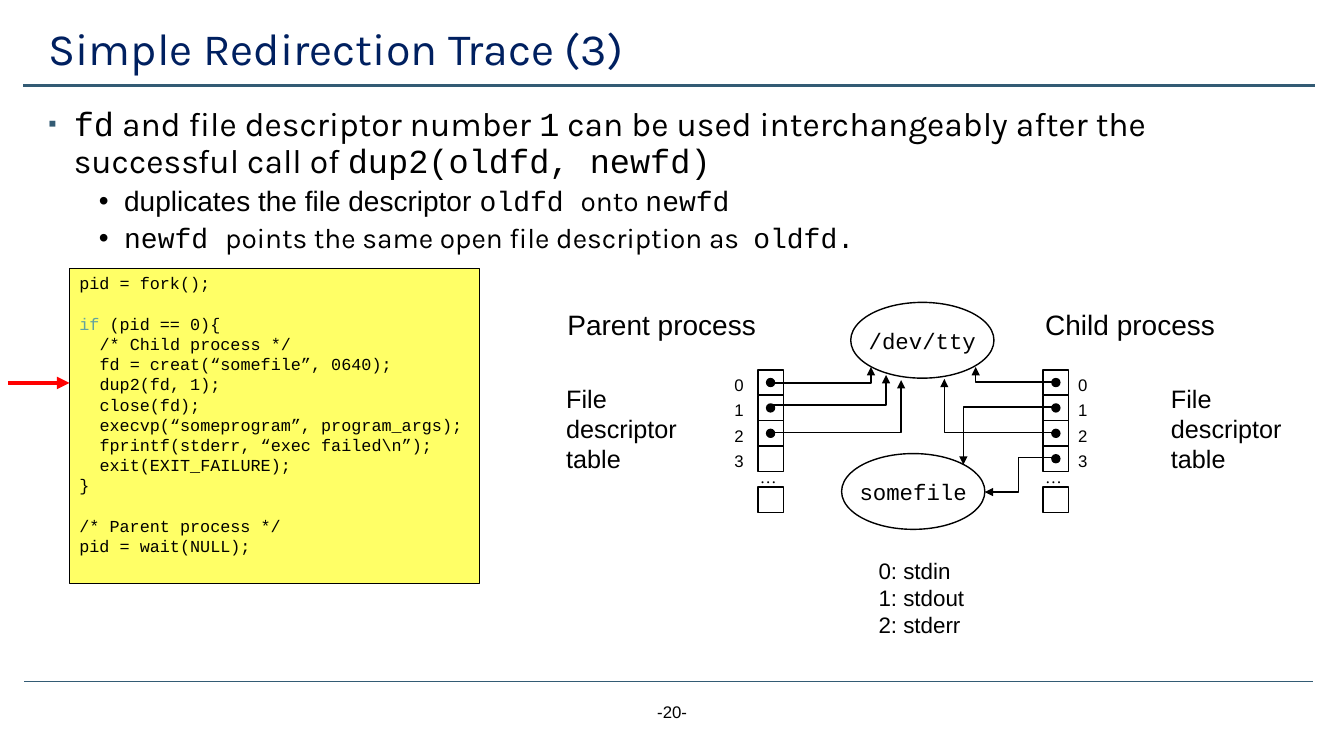
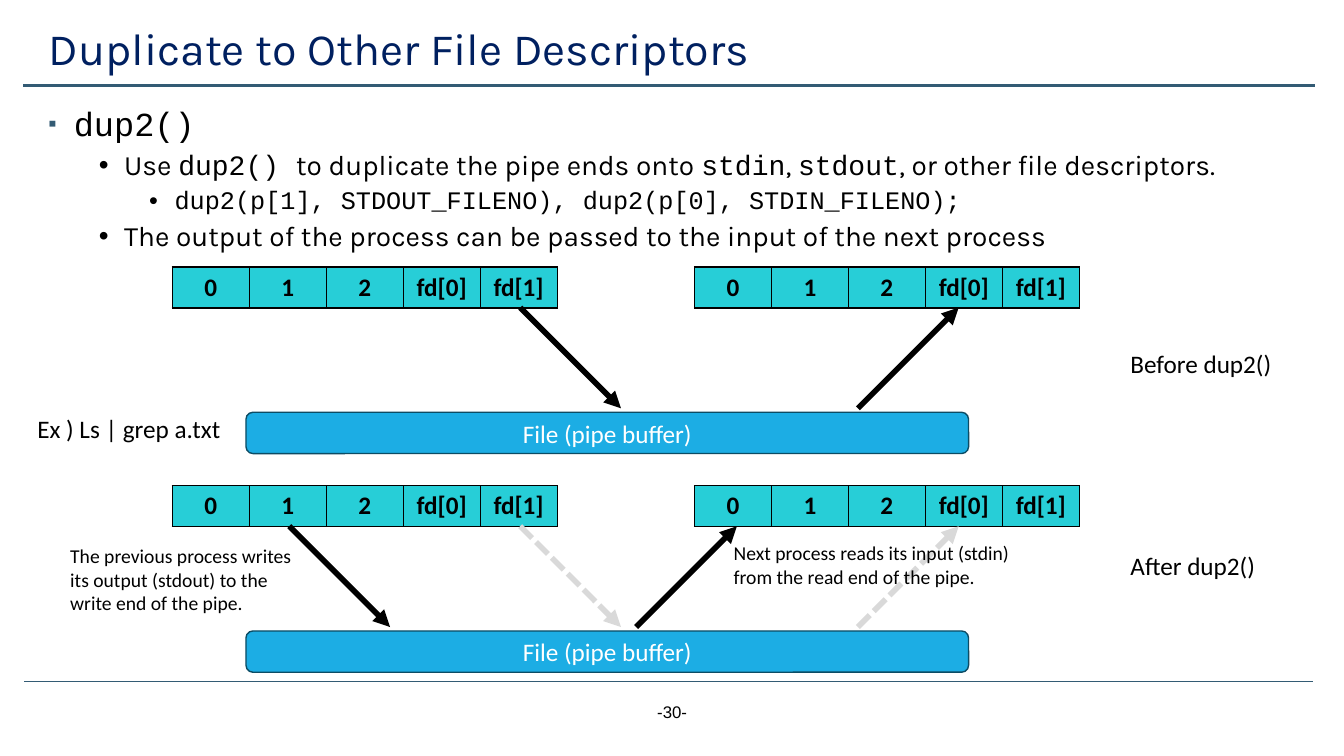
"""Build two slides on redirecting file descriptors with dup2()."""
from dataclasses import dataclass
from typing import Any, NamedTuple, Optional, Sequence

from lxml import etree
from pptx import Presentation
from pptx import util as u
from pptx.dml.color import RGBColor
from pptx.enum import dml, shapes, text
from pptx.oxml import ns

BLACK = RGBColor(0, 0, 0)
WHITE = RGBColor(255, 255, 255)
NAVY = RGBColor(0x00, 0x20, 0x60)
SLATE = RGBColor(0x33, 0x5B, 0x74)
KEYWORD = RGBColor(0x62, 0xA3, 0x9F)
YELLOW = RGBColor(0xFF, 0xFF, 0x66)
RED = RGBColor(0xFF, 0, 0)
TURQUOISE = RGBColor(0x27, 0xCE, 0xD7)
BLUE = RGBColor(0x1C, 0xAD, 0xE4)
DARK_BLUE = RGBColor(0x0C, 0x4C, 0x64)
GREY = RGBColor(0xD9, 0xD9, 0xD9)
KARLA, CODE, ARIAL, CALIBRI = "Karla", "Courier New", "Arial", "Calibri"
LEFT, CENTER = text.PP_ALIGN.LEFT, text.PP_ALIGN.CENTER
SHAPE = shapes.MSO_SHAPE
CELL, DOT = 0.64, 0.2
COLUMN, ROW = 1.94, 1.02


class Box(NamedTuple):
    """Position and size in centimetres."""
    left: float
    top: float
    width: float
    height: float


class Point(NamedTuple):
    """A position in centimetres."""
    x: float
    y: float


class Run(NamedTuple):
    """Text with an optional font and colour of its own."""
    text: str
    font: Optional[str] = None
    colour: Optional[RGBColor] = None


class Style(NamedTuple):
    """Character format and alignment of a text."""
    size: float
    font: str = ARIAL
    colour: RGBColor = BLACK
    bold: bool = False
    align: Any = LEFT


@dataclass
class Line:
    """One paragraph: runs, left indent in centimetres, space before in points."""
    runs: Sequence[Run]
    indent: float = 0
    before: float = 0
    size: Optional[float] = None
    bullet: str = ""


@dataclass
class Process:
    """A process with its descriptor table."""
    name: str
    name_box: Box
    cell_left: float
    number_left: float
    caption_left: float
    open_count: int


@dataclass
class PipeEnds:
    """Where a writer arrow leaves and a reader arrow starts."""
    write_x: float
    read_x: float
    colour: RGBColor = BLACK
    dash: Any = None


@dataclass
class Stage:
    """Descriptor tables joined by a pipe buffer."""
    top: float
    ends: Sequence[PipeEnds]


def apply(target: Any, values: dict[str, Any]) -> None:
    """Set each named attribute on the target."""
    for name, value in values.items():
        setattr(target, name, value)


def add_xml(parent: Any, tag: str, **attributes: str) -> Any:
    """Append a child element."""
    return etree.SubElement(parent, ns.qn(tag), attributes)


def lengths(box: Box) -> list[u.Cm]:
    """Convert a box to lengths."""
    return [u.Cm(value) for value in box]


def write(frame: Any, lines: Sequence[Any], style: Style) -> None:
    """Fill a text frame with strings or lines."""
    for index, entry in enumerate(lines):
        line = entry if isinstance(entry, Line) else Line([Run(entry)])
        paragraph = frame.paragraphs[0] if index == 0 else frame.add_paragraph()
        apply(paragraph, {"alignment": style.align, "space_before": u.Pt(line.before)})
        properties = paragraph._p.get_or_add_pPr()
        properties.set("marL", str(u.Cm(line.indent)))
        if line.bullet:
            paragraph.line_spacing = 0.9
            properties.set("indent", str(u.Cm(-0.64)))
            if line.bullet == "▪":
                add_xml(add_xml(properties, "a:buClr"), "a:srgbClr", val=str(SLATE))
                add_xml(properties, "a:buSzPct", val="70000")
            add_xml(properties, "a:buFont", typeface=ARIAL)
            add_xml(properties, "a:buChar", char=line.bullet)
        for piece in line.runs:
            run = paragraph.add_run()
            run.text = piece.text
            apply(run.font, {"name": piece.font or style.font, "bold": style.bold,
                             "size": u.Pt(line.size or style.size)})
            run.font.color.rgb = piece.colour or style.colour


def add_text(slide: Any, box: Box, lines: Sequence[Any], style: Style,
             wrap: bool = False) -> None:
    """Add a text box."""
    frame = slide.shapes.add_textbox(*lengths(box)).text_frame
    fit = text.MSO_AUTO_SIZE
    apply(frame, {"word_wrap": wrap,
                  "auto_size": fit.NONE if wrap else fit.SHAPE_TO_FIT_TEXT})
    write(frame, lines, style)


def add_shape(slide: Any, kind: Any, box: Box, fill: Optional[RGBColor] = None,
              line: RGBColor = BLACK, width: float = 1) -> Any:
    """Add a preset shape without shadow."""
    shape = slide.shapes.add_shape(kind, *lengths(box))
    shape.shadow.inherit = False
    if fill is None:
        shape.fill.background()
    else:
        shape.fill.solid()
        shape.fill.fore_color.rgb = fill
    shape.line.color.rgb = line
    shape.line.width = u.Pt(width)
    return shape


def add_line(slide: Any, start: Point, end: Point, colour: RGBColor = BLACK,
             width: float = 1, arrow: bool = True, dash: Any = None,
             bend: Optional[int] = None) -> None:
    """Add a line, bent at a percentage of its width if one is given."""
    kinds = shapes.MSO_CONNECTOR
    kind = kinds.STRAIGHT if bend is None else kinds.ELBOW
    connector = slide.shapes.add_connector(
        kind, *(u.Cm(value) for value in (*start, *end)))
    connector.line.color.rgb = colour
    apply(connector.line, {"width": u.Pt(width), "dash_style": dash})
    properties = connector.element.find(ns.qn("p:spPr"))
    if arrow:
        add_xml(properties.find(ns.qn("a:ln")), "a:tailEnd", type="triangle")
    if bend is not None:
        guides = properties.find(f"{ns.qn('a:prstGeom')}/{ns.qn('a:avLst')}")
        add_xml(guides, "a:gd", name="adj1", fmla=f"val {bend * 1000}")
    add_xml(properties, "a:effectLst")


def add_slide(presentation: Any, title: str, number: int, bullets: Sequence[Line]) -> Any:
    """Add a slide with title, rules, page number and bullets."""
    slide = presentation.slides.add_slide(presentation.slide_layouts[5])
    add_line(slide, Point(0.61, 17.17), Point(33.1, 17.17), SLATE, 0.5, arrow=False)
    add_line(slide, Point(0.58, 2.16), Point(33.15, 2.16), SLATE, 1.75, arrow=False)
    heading = slide.shapes.title
    apply(heading, dict(zip(Box._fields, lengths(Box(0.97, 0.48, 31.57, 1.6)))))
    apply(heading.text_frame, {"auto_size": text.MSO_AUTO_SIZE.NONE,
                               "vertical_anchor": text.MSO_ANCHOR.MIDDLE})
    write(heading.text_frame, [title], Style(32, KARLA, NAVY))
    heading.text_frame.paragraphs[0].line_spacing = 0.9
    add_text(slide, Box(13.13, 17.55, 7.62, 1.02), [f"-{number}-"],
             Style(12, align=CENTER), wrap=True)
    add_text(slide, Box(0.97, 2.59, 31.57, 14.27), bullets, Style(20, KARLA), wrap=True)
    return slide


def bullet(level: int, *runs: Run) -> Line:
    """Make a bullet of the given level."""
    return Line(runs, indent=0.64 + 1.27 * level, before=5 if level else 10,
                size=(24, 20, 18)[level], bullet="•" if level else "▪")


def code(content: str, indent: float = 0.51, before: float = 0) -> Line:
    """Make a line of program code."""
    return Line([Run(content)], indent, before)


def draw_process(slide: Any, process: Process) -> None:
    """Draw a descriptor table with its labels."""
    top, left = 9.32, process.cell_left
    add_text(slide, process.name_box, [process.name], Style(20))
    add_text(slide, Box(process.caption_left, 9.53, 3.3, 2.54),
             ["File", "descriptor", "table"], Style(18))
    inset = (CELL - DOT) / 2
    for number in range(4):
        cell_top = top + number * CELL
        add_shape(slide, SHAPE.RECTANGLE, Box(left, cell_top, CELL, CELL))
        if number < process.open_count:
            add_shape(slide, SHAPE.OVAL,
                      Box(left + inset, cell_top + inset, DOT, DOT), BLACK)
        add_text(slide, Box(process.number_left, cell_top, 0.86, 0.76),
                 [str(number)], Style(12), wrap=True)
    add_text(slide, Box(left - 0.2, 11.63, 0.94, 0.76), ["…"],
             Style(12, "Times New Roman"))
    add_shape(slide, SHAPE.RECTANGLE, Box(left, 12.27, CELL, CELL))


def draw_table(slide: Any, left: float, top: float) -> None:
    """Draw one row of descriptors."""
    names = ("0", "1", "2", "fd[0]", "fd[1]")
    table = slide.shapes.add_table(
        1, len(names), *lengths(Box(left, top, COLUMN * len(names), ROW))).table
    apply(table, {"first_row": False, "horz_banding": False})
    for index, name in enumerate(names):
        table.columns[index].width = u.Cm(COLUMN)
        cell = table.cell(0, index)
        properties = cell._tc.get_or_add_tcPr()
        for side in ("L", "R", "T", "B"):
            border = add_xml(properties, f"a:ln{side}", w=str(u.Pt(1)))
            add_xml(add_xml(border, "a:solidFill"), "a:srgbClr", val=str(BLACK))
        cell.fill.solid()
        cell.fill.fore_color.rgb = TURQUOISE
        write(cell.text_frame, [name], Style(18, CALIBRI, bold=True, align=CENTER))


def draw_stage(slide: Any, stage: Stage) -> None:
    """Draw two tables, the pipe buffer and the arrows between them."""
    for left in (4.34, 17.5):
        draw_table(slide, left, stage.top)
    buffer = add_shape(slide, SHAPE.ROUNDED_RECTANGLE,
                       Box(6.2, stage.top + 3.66, 18.21, 1.04), BLUE, DARK_BLUE)
    write(buffer.text_frame, ["File (pipe buffer)"],
          Style(18, CALIBRI, WHITE, align=CENTER))
    upper, lower = stage.top + ROW, stage.top + ROW + 2.54
    for ends in stage.ends:
        for x, start, end in ((ends.write_x, upper, lower), (ends.read_x, lower, upper)):
            add_line(slide, Point(x, start), Point(x + 2.54, end),
                     ends.colour, 4, dash=ends.dash)


def build_trace(presentation: Any) -> None:
    """Build the redirection trace."""
    slide = add_slide(presentation, "Simple Redirection Trace (3)", 20, [
        bullet(0, Run("fd", CODE), Run(" and file descriptor number "), Run("1", CODE),
               Run(" can be used interchangeably after the successful call of "),
               Run("dup2(oldfd, newfd)", CODE)),
        bullet(1, Run("duplicates the file descriptor ", ARIAL), Run("oldfd ", CODE),
               Run("onto "), Run("newfd", CODE)),
        bullet(1, Run("newfd ", CODE), Run("points the same open file description as  "),
               Run("oldfd.", CODE))])
    for process in (
            Process("Parent process", Box(14.05, 7.62, 5.31, 1.12), 19.1, 18.26, 14.02, 3),
            Process("Child process", Box(26.09, 7.62, 4.83, 1.12), 26.29, 26.92, 29.26, 4)):
        draw_process(slide, process)
    for start, end, bend in (
            (Point(19.48, 9.65), Point(21.95, 9.25), 100),
            (Point(19.48, 10.21), Point(22.33, 9.45), 100),
            (Point(19.48, 10.9), Point(22.71, 9.58), 100),
            (Point(26.52, 10.9), Point(23.8, 9.55), 100),
            (Point(26.52, 9.63), Point(24.59, 9.25), 100),
            (Point(26.52, 11.53), Point(24.82, 12.4), 50),
            (Point(26.52, 10.26), Point(24.28, 11.71), 100)):
        add_line(slide, start, end, bend=bend)
    for name, left, top in (("somefile", 21.21, 11.43), ("/dev/tty", 21.44, 7.62)):
        ellipse = add_shape(slide, SHAPE.OVAL, Box(left, top, 3.61, 1.91))
        ellipse.text_frame.word_wrap = False
        write(ellipse.text_frame, [name], Style(16, CODE, align=CENTER))
    listing = add_shape(slide, SHAPE.RECTANGLE, Box(1.75, 6.76, 10.34, 7.95),
                        YELLOW, width=0.75)
    listing.text_frame.vertical_anchor = text.MSO_ANCHOR.TOP
    body = ("/* Child process */", "fd = creat(“somefile”, 0640);", "dup2(fd, 1);",
            "close(fd);", "execvp(“someprogram”, program_args);",
            "fprintf(stderr, “exec failed\\n”);", "exit(EXIT_FAILURE);")
    write(listing.text_frame, [
        "pid = fork();",
        Line([Run("if", colour=KEYWORD), Run(" (pid == 0){")], before=14.5),
        *map(code, body), "}",
        code("/* Parent process */", 0, 14.5), "pid = wait(NULL);"], Style(12, CODE))
    add_line(slide, Point(0.2, 9.65), Point(1.75, 9.65), RED, 3)
    add_text(slide, Box(21.89, 13.92, 2.69, 2.31),
             ["0: stdin", "1: stdout", "2: stderr"], Style(16))


def build_duplicate(presentation: Any) -> None:
    """Build the pipe example before and after dup2()."""
    slide = add_slide(presentation, "Duplicate to Other File Descriptors", 30, [
        bullet(0, Run("dup2()", CODE)),
        bullet(1, Run("Use "), Run("dup2() ", CODE),
               Run("to duplicate the pipe ends onto "), Run("stdin", CODE), Run(", "),
               Run("stdout", CODE), Run(", or other file descriptors.")),
        bullet(2, Run("dup2(p[1], STDOUT_FILENO), dup2(p[0], STDIN_FILENO);", CODE)),
        bullet(1, Run("The output of the process can be passed to the input of "
                      "the next process"))])
    unused = PipeEnds(13.11, 21.62, GREY, dml.MSO_LINE.SQUARE_DOT)
    for stage in (Stage(6.73, [PipeEnds(13.11, 21.62)]),
                  Stage(12.24, [unused, PipeEnds(7.29, 16.03)])):
        draw_stage(slide, stage)
    for box, content, size, wrap in (
            (Box(28.24, 8.66, 4.11, 1.02), "Before dup2()", 18, False),
            (Box(28.24, 13.74, 3.86, 1.02), "After dup2()", 18, False),
            (Box(1.52, 13.59, 6.53, 2.06), "The previous process writes its output "
             "(stdout) to the write end of the pipe.", 14, True),
            (Box(18.24, 13.51, 7.95, 1.45), "Next process reads its input (stdin) "
             "from the read end of the pipe.", 14, True),
            (Box(0.69, 10.29, 5.18, 1.02), "Ex ) Ls | grep a.txt", 18, False)):
        add_text(slide, box, [content], Style(size, CALIBRI), wrap)


def main() -> None:
    """Build and save the presentation."""
    presentation = Presentation()
    apply(presentation, {"slide_width": u.Cm(33.87), "slide_height": u.Cm(19.05)})
    build_trace(presentation)
    build_duplicate(presentation)
    presentation.save("out.pptx")


if __name__ == "__main__":
    main()
